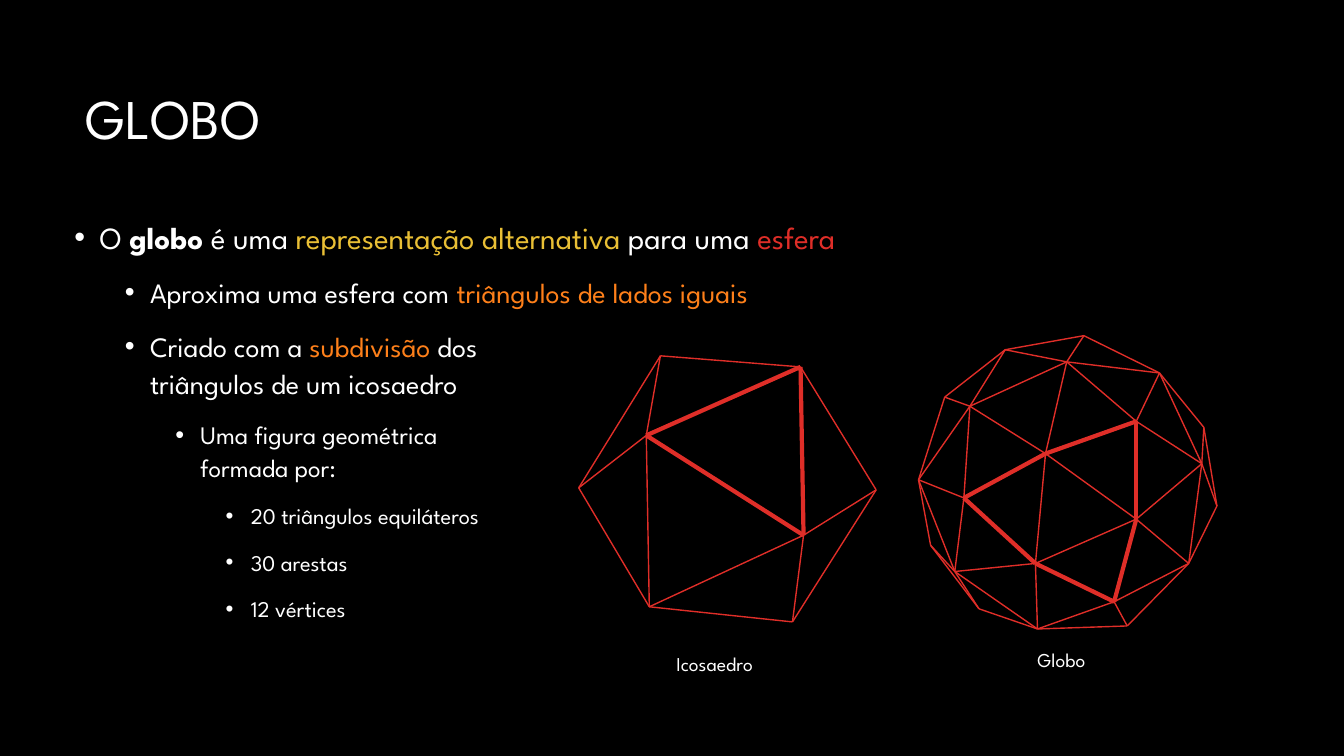
from lxml import etree
from pptx import Presentation
from pptx.dml.color import RGBColor
from pptx.enum.shapes import MSO_CONNECTOR
from pptx.enum.text import MSO_ANCHOR
from pptx.oxml.ns import qn
from pptx.util import Inches, Pt

LINE = MSO_CONNECTOR.STRAIGHT
TOP, MIDDLE = MSO_ANCHOR.TOP, MSO_ANCHOR.MIDDLE
FONT = "League Spartan"
COLORS = {"black": "000000", "white": "FFFFFF", "yellow": "E9BF35",
          "orange": "FE801A", "red": "DF2E28"}

BULLETS = [
    (0, 22, [("O ", {}), ("globo", {"bold": True}), (" é uma ", {}),
             ("representação alternativa", {"color": "yellow"}),
             (" para uma ", {}), ("esfera", {"color": "red"})]),
    (1, 20, [("Aproxima uma esfera com ", {}),
             ("triângulos de lados iguais", {"color": "orange"})]),
    (1, 20, [("Criado com a ", {}), ("subdivisão", {"color": "orange"}),
             (" dos \ntriângulos de um icosaedro", {})]),
    (2, 18, [("Uma figura geométrica \nformada por:", {})]),
    (3, 16, [("20 triângulos equiláteros", {})]),
    (3, 16, [("30 arestas", {})]),
    (3, 16, [("12 vértices", {})]),
]

ICOSAHEDRON = {
    "A": (7.94, 3.64), "B": (7.97, 5.31), "C": (8.69, 4.86), "D": (6.41, 4.32),
    "E": (6.55, 3.53), "F": (5.74, 4.84), "G": (6.44, 6.02), "H": (7.86, 6.17),
}
ICOSAHEDRON_THIN = "AC CB AE ED EF DF DG FG GB HB HC GH"
ICOSAHEDRON_THICK = "AB AD DB"

GLOBE = {
    "A": (9.62, 4.03), "B": (9.56, 4.94), "C": (10.37, 4.5), "D": (11.27, 5.15),
    "E": (11.27, 4.18), "F": (11.92, 4.6), "G": (11.5, 3.7), "H": (11.94, 4.24),
    "I": (12.07, 5.02), "J": (11.79, 5.59), "K": (11.05, 5.97), "L": (11.18, 6.21),
    "M": (10.27, 5.59), "N": (10.29, 6.24), "O": (9.47, 5.67), "P": (9.71, 6.04),
    "Q": (9.23, 5.41), "R": (9.11, 4.76), "S": (9.37, 3.94), "T": (9.97, 3.47),
    "U": (10.58, 3.59), "V": (10.75, 3.33),
}
GLOBE_THIN = ("AB AC CD EF DF GF GH HF HI FI FJ IJ DJ JK JL KL NK NL NM NO NP PO "
              "PQ OQ MO DM CM OB QR OR BR RS RA SA TU AU AT ST CU EU GV GE UG UV TV")
GLOBE_THICK = "BC CE DE DK MK BM"


def rgb(name):
    """Return the named colour."""
    return RGBColor.from_string(COLORS[name])


def add_text(p, text, size=14, color="white", bold=False):
    """Add formatted text to a paragraph, breaking lines at newlines."""
    for i, line in enumerate(text.split("\n")):
        if i:
            p.add_line_break()
        r = p.add_run()
        r.text = line
        r.font.name = FONT
        r.font.size = Pt(size)
        r.font.bold = bold
        r.font.color.rgb = rgb(color)


def add_box(slide, left, top, width, height, anchor=TOP):
    """Add a wrapping text box and return its text frame."""
    sp = slide.shapes.add_textbox(Inches(left), Inches(top), Inches(width), Inches(height))
    tf = sp.text_frame
    tf.word_wrap = True
    tf.vertical_anchor = anchor
    return tf


def set_bullet(p, level):
    """Give a paragraph a round bullet and a hanging indent for its level."""
    p.level = level
    pPr = p._p.get_or_add_pPr()
    pPr.set("marL", str(Inches(0.25 + 0.5 * level)))
    pPr.set("indent", str(Inches(-0.25)))
    etree.SubElement(pPr, qn("a:buFont")).set("typeface", "Arial")
    etree.SubElement(pPr, qn("a:buChar")).set("char", "•")


def add_bullets(slide):
    """Add the bulleted text."""
    tf = add_box(slide, 0.64, 2.08, 11.83, 4.69)
    for i, (level, size, runs) in enumerate(BULLETS):
        p = tf.add_paragraph() if i else tf.paragraphs[0]
        p.line_spacing = 1.1
        p.space_before = Pt(12 if level else 10)
        set_bullet(p, level)
        for text, style in runs:
            add_text(p, text, size=size, **style)


def add_wireframe(slide, vertices, thin, thick):
    """Draw a grouped polyhedron from its vertices and edges."""
    group = slide.shapes.add_group_shape()
    for edges, weight in ((thin, 1), (thick, 3)):
        for start, end in edges.split():
            ends = [Inches(v) for v in vertices[start] + vertices[end]]
            edge = group.shapes.add_connector(LINE, *ends)
            edge.line.color.rgb = rgb("red")
            edge.line.width = Pt(weight)
            etree.SubElement(edge._element.spPr, qn("a:effectLst"))


def main():
    """Build the slide and save it."""
    prs = Presentation()
    prs.slide_width, prs.slide_height = Inches(13.33), Inches(7.5)
    slide = prs.slides.add_slide(prs.slide_layouts[6])
    slide.background.fill.solid()
    slide.background.fill.fore_color.rgb = rgb("black")

    title = add_box(slide, 0.75, 0.5, 11.83, 1.41, anchor=MIDDLE).paragraphs[0]
    title.line_spacing = 0.9
    add_text(title, "GLOBO", size=40)
    add_bullets(slide)

    add_wireframe(slide, ICOSAHEDRON, ICOSAHEDRON_THIN, ICOSAHEDRON_THICK)
    add_wireframe(slide, GLOBE, GLOBE_THIN, GLOBE_THICK)
    add_text(add_box(slide, 10.19, 6.38, 0.8, 0.34).paragraphs[0], "Globo")
    add_text(add_box(slide, 6.61, 6.42, 1.16, 0.34).paragraphs[0], "Icosaedro")
    prs.save("out.pptx")


if __name__ == "__main__":
    main()
